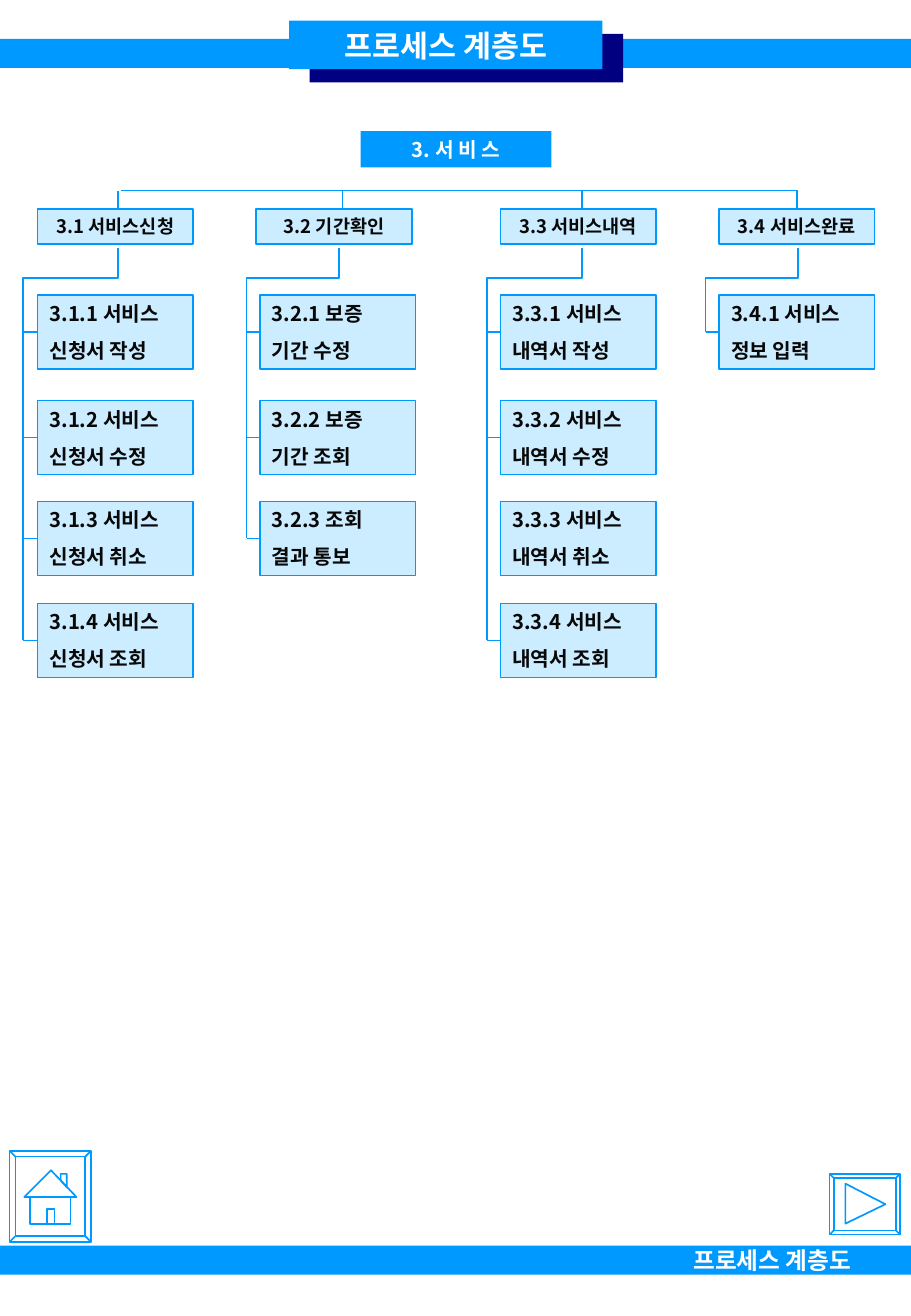
"""Build the service process hierarchy slide."""
from dataclasses import dataclass

from lxml import etree
from pptx import Presentation
from pptx.dml.color import RGBColor
from pptx.enum.shapes import MSO_CONNECTOR, MSO_SHAPE
from pptx.enum.text import MSO_ANCHOR, MSO_AUTO_SIZE, PP_ALIGN
from pptx.oxml.ns import qn
from pptx.util import Inches, Pt

RECTANGLE, BEVEL = MSO_SHAPE.RECTANGLE, MSO_SHAPE.BEVEL
STRAIGHT = MSO_CONNECTOR.STRAIGHT
MIDDLE, TOP = MSO_ANCHOR.MIDDLE, MSO_ANCHOR.TOP
CENTER, LEFT = PP_ALIGN.CENTER, PP_ALIGN.LEFT
NO_FIT = MSO_AUTO_SIZE.NONE
TOP_SIDE, LEFT_SIDE = 0, 1


@dataclass(frozen=True)
class Theme:
    """Colours, font and type sizes."""

    blue: str = "0099FF"
    pale: str = "CCECFF"
    navy: str = "000080"
    ink: str = "080808"
    white: str = "FFFFFF"
    font: str = "Noto Sans CJK KR"
    title: float = 18
    footer: float = 14
    body: float = 12
    heading: float = 11
    line: float = 1
    item_gap: float = 7.5


THEME = Theme()
TITLE = "프로세스 계층도"
ROOT = "3. 서 비 스"
COLUMNS = [
    dict(heading="3.1 서비스신청", left=0.31, item_left=0.31, trunk=0.19,
         drop=0.97, exit=0.97, unlinked=(),
         items=[("3.1.1 서비스", "신청서 작성"), ("3.1.2 서비스", "신청서 수정"),
                ("3.1.3 서비스", "신청서 취소"), ("3.1.4 서비스", "신청서 조회")]),
    dict(heading="3.2 기간확인", left=2.11, item_left=2.14, trunk=2.03,
         drop=2.82, exit=2.79, unlinked=(),
         items=[("3.2.1 보증", "기간 수정"), ("3.2.2 보증", "기간 조회"),
                ("3.2.3 조회", "결과 통보")]),
    dict(heading="3.3 서비스내역", left=4.12, item_left=4.12, trunk=4.01,
         drop=4.79, exit=4.79, unlinked=(2,),
         items=[("3.3.1 서비스", "내역서 작성"), ("3.3.2 서비스", "내역서 수정"),
                ("3.3.3 서비스", "내역서 취소"), ("3.3.4 서비스", "내역서 조회")]),
    dict(heading="3.4 서비스완료", left=5.92, item_left=5.92, trunk=5.81,
         drop=6.57, exit=6.57, unlinked=(),
         items=[("3.4.1 서비스", "정보 입력")]),
]
ITEM_TOPS = (2.43, 3.3, 4.13, 4.97)
BOX_WIDTH, HEADING_HEIGHT, ITEM_HEIGHT = 1.28, 0.29, 0.61
BUS_Y, HEADING_TOP, EXIT_Y, TURN_Y = 1.57, 1.72, 2.04, 2.29
JOIN_TOLERANCE = 0.015
BAND_TOPS = (10.26, 0.32)
BUTTONS = [
    dict(frame=(0.08, 9.48, 0.67, 0.75), bevel=0.07, icon=[
        [(0.42, 9.64), (0.63, 9.86), (0.2, 9.86)],
        [(0.5, 9.72), (0.5, 9.67), (0.55, 9.67), (0.55, 9.78)],
        [(0.25, 9.86), (0.58, 9.86), (0.58, 10.08), (0.25, 10.08)],
        [(0.39, 10.08), (0.39, 9.96), (0.45, 9.96), (0.45, 10.08)]]),
    dict(frame=(6.83, 9.67, 0.58, 0.5), bevel=0.07, icon=[
        [(6.96, 9.75), (7.29, 9.92), (6.96, 10.08)]]),
]


def color(code):
    return RGBColor.from_string(code)


def paint(shape, fill=None, line=None):
    if fill:
        shape.fill.solid()
        shape.fill.fore_color.rgb = color(fill)
    else:
        shape.fill.background()
    if line:
        shape.line.color.rgb = color(line)
        shape.line.width = Pt(THEME.line)
    else:
        shape.line.fill.background()


def write(box, lines, size, ink, align=CENTER, anchor=MIDDLE):
    frame = box.text_frame
    frame.word_wrap = True
    frame.auto_size = NO_FIT
    frame.vertical_anchor = anchor
    frame.margin_left = frame.margin_right = Inches(0.1)
    frame.margin_top = frame.margin_bottom = Inches(0.05)
    for index, text in enumerate(lines):
        para = frame.add_paragraph() if index else frame.paragraphs[0]
        para.alignment = align
        para.space_before = Pt(THEME.item_gap if index else 0)
        span = para.add_run()
        span.text = text
        span.font.size = Pt(size)
        span.font.bold = True
        span.font.color.rgb = color(ink)
        span.font.name = THEME.font
        east_asian = etree.SubElement(span._r.get_or_add_rPr(), qn("a:ea"))
        east_asian.set("typeface", THEME.font)


def add_box(page, place, fill=None, line=None, preset=RECTANGLE):
    box = page.shapes.add_shape(preset, *map(Inches, place))
    box.shadow.inherit = False
    paint(box, fill, line)
    return box


def add_line(page, start, end, target=None, side=None):
    link = page.shapes.add_connector(STRAIGHT, *map(Inches, start + end))
    link.line.color.rgb = color(THEME.blue)
    link.line.width = Pt(THEME.line)
    etree.SubElement(link._element.spPr, qn("a:effectLst"))
    if target is not None:
        link.end_connect(target, side)
        if side == LEFT_SIDE:
            link.begin_y = link.end_y
        else:
            link.begin_x = link.end_x


def add_outline(page, contours, close):
    builder = None
    for contour in contours:
        points = [(Inches(x), Inches(y)) for x, y in contour]
        if builder is None:
            builder = page.shapes.build_freeform(*points[0])
        else:
            builder.move_to(*points[0])
        builder.add_line_segments(points[1:], close=close)
    outline = builder.convert_to_shape()
    outline.shadow.inherit = False
    paint(outline, line=THEME.blue)


def add_column(page, column):
    left, trunk, drop = column["left"], column["trunk"], column["drop"]
    heading = add_box(page, (left, HEADING_TOP, BOX_WIDTH, HEADING_HEIGHT),
                      THEME.pale, THEME.blue)
    write(heading, [column["heading"]], THEME.heading, THEME.ink)
    centred = abs(left + BOX_WIDTH / 2 - drop) < JOIN_TOLERANCE
    add_line(page, (drop, BUS_Y), (drop, HEADING_TOP),
             heading if centred else None, TOP_SIDE)
    for index, (lines, top) in enumerate(zip(column["items"], ITEM_TOPS)):
        item = add_box(page, (column["item_left"], top, BOX_WIDTH, ITEM_HEIGHT),
                       THEME.pale, THEME.blue)
        write(item, lines, THEME.body, THEME.ink, LEFT)
        middle = top + ITEM_HEIGHT / 2
        if index not in column["unlinked"]:
            add_line(page, (trunk, middle), (column["item_left"], middle),
                     item, LEFT_SIDE)
    route = [(column["exit"], EXIT_Y), (column["exit"], TURN_Y),
             (trunk, TURN_Y), (trunk, middle)]
    add_outline(page, [route], close=False)


def main():
    deck = Presentation()
    deck.slide_width, deck.slide_height = Inches(7.5), Inches(10.84)
    page = deck.slides.add_slide(deck.slide_layouts[5])
    for top in BAND_TOPS:
        add_box(page, (0, top, 7.5, 0.24), THEME.blue)
    add_box(page, (2.55, 0.28, 2.58, 0.4), THEME.navy)

    title = page.shapes.title
    title.left, title.top, title.width, title.height = map(
        Inches, (2.38, 0.17, 2.58, 0.4))
    paint(title, THEME.blue)
    write(title, [TITLE], THEME.title, THEME.white)
    title._element.getparent().append(title._element)

    root = add_box(page, (2.97, 1.08, 1.57, 0.3), THEME.blue)
    write(root, [ROOT], THEME.body, THEME.white)
    add_line(page, (1, BUS_Y), (COLUMNS[-1]["drop"], BUS_Y))
    for column in COLUMNS:
        add_column(page, column)

    footer = page.shapes.add_textbox(*map(Inches, (5.61, 10.21, 1.73, 0.34)))
    write(footer, [TITLE], THEME.footer, THEME.white, LEFT, TOP)
    for button in BUTTONS:
        frame = add_box(page, button["frame"], line=THEME.blue, preset=BEVEL)
        frame.adjustments[0] = button["bevel"]
        add_outline(page, button["icon"], close=True)
    deck.save("out.pptx")


if __name__ == "__main__":
    main()
